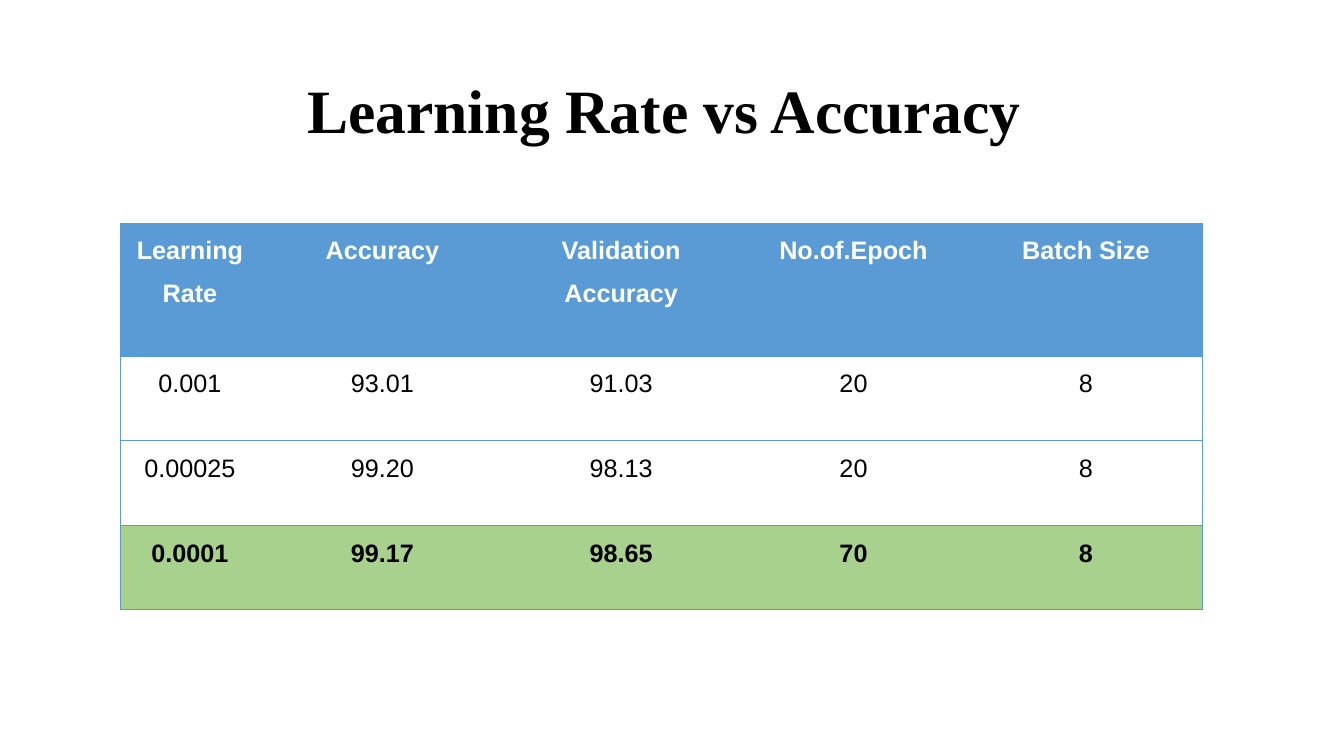
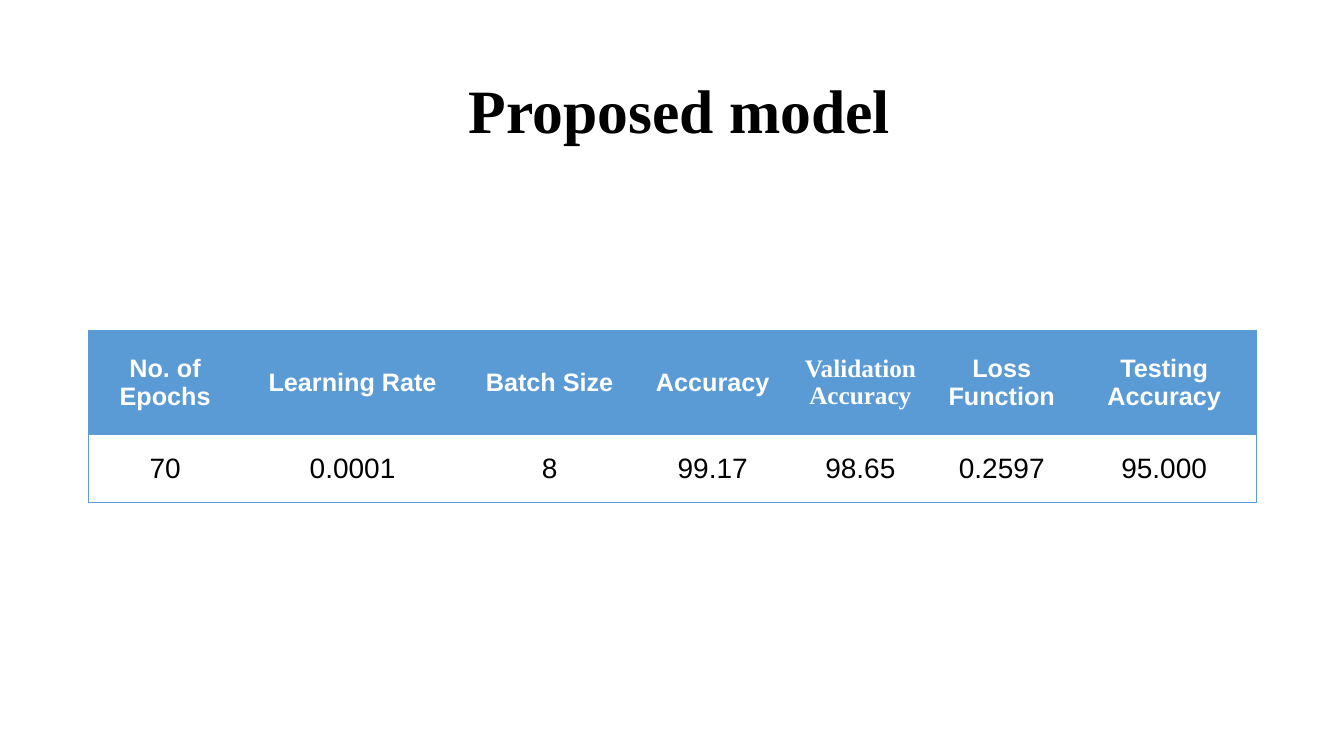
from lxml.etree import SubElement
from pptx import Presentation
from pptx.dml.color import RGBColor
from pptx.enum.text import MSO_ANCHOR, MSO_AUTO_SIZE, PP_ALIGN
from pptx.oxml.ns import qn
from pptx.util import Pt

COLORS = {"ink": "000000", "paper": "FFFFFF", "blue": "5B9BD5", "best": "A9D18E"}
SANS, SERIF = "Arial", "Times New Roman"
TITLE_BOX = {"left": Pt(66), "top": Pt(28.75), "width": Pt(828), "height": Pt(104.4)}
TITLE_FRAME = {"word_wrap": True, "auto_size": MSO_AUTO_SIZE.NONE,
               "vertical_anchor": MSO_ANCHOR.MIDDLE}
TITLE_PARAGRAPH = {"alignment": PP_ALIGN.CENTER, "line_spacing": 0.9}
TITLE_FONT = {"name": SERIF, "size": Pt(44), "bold": True}
CELL_MARGINS = {"margin_left": Pt(5), "margin_right": Pt(5),
                "margin_top": 0, "margin_bottom": 0}
AIRY = {"alignment": PP_ALIGN.CENTER, "line_spacing": 1.5, "space_after": Pt(5.3)}
COMPACT = {"alignment": PP_ALIGN.CENTER}


def apply(target, values):
    """Set each named attribute on the target."""
    for name, value in values.items():
        setattr(target, name, value)


def set_font(font, color, values):
    """Apply font values and a palette colour."""
    apply(font, values)
    font.color.rgb = RGBColor.from_string(COLORS[color])


def add_titled_slide(deck, title, inset):
    """Add a title-only slide whose heading is inset on one side."""
    slide = deck.slides.add_slide(deck.slide_layouts[5])
    heading = slide.shapes.title
    apply(heading, TITLE_BOX)
    frame = heading.text_frame
    frame.text = title
    apply(frame, {**TITLE_FRAME, **inset})
    apply(frame.paragraphs[0], TITLE_PARAGRAPH)
    set_font(frame.paragraphs[0].runs[0].font, "ink", TITLE_FONT)
    return slide


def set_borders(cell, visible):
    """Rule the visible sides of a cell and clear the others."""
    properties = cell._tc.get_or_add_tcPr()
    for side in "LRTB":
        line = SubElement(properties, qn(f"a:ln{side}"), w=str(Pt(0.5)))
        if side in visible:
            fill = SubElement(line, qn("a:solidFill"))
            SubElement(fill, qn("a:srgbClr"), val=COLORS["blue"])
        else:
            SubElement(line, qn("a:noFill"))


def format_cell(cell, text, sides, fill, color, paragraph_values, font_values, anchor):
    """Write one table cell with its rules, fill and text style."""
    set_borders(cell, sides)
    if fill:
        cell.fill.solid()
        cell.fill.fore_color.rgb = RGBColor.from_string(COLORS[fill])
    else:
        cell.fill.background()
    apply(cell, {**CELL_MARGINS, "vertical_anchor": anchor})
    cell.text = text
    paragraph = cell.text_frame.paragraphs[0]
    apply(paragraph, paragraph_values)
    set_font(paragraph.runs[0].font, color, font_values)


def add_results_table(slide, left, top, widths, heights, rows, body_size,
                      paragraph_values, anchor, best_row=None, serif_headers=()):
    """Place a results table with a blue header and an optional best row."""
    table = slide.shapes.add_table(
        len(rows), len(widths), Pt(left), Pt(top), Pt(sum(widths)), Pt(sum(heights))).table
    apply(table, {"first_row": False, "horz_banding": False})
    for column, width in zip(table.columns, widths):
        column.width = Pt(width)
    for row, height in zip(table.rows, heights):
        row.height = Pt(height)
    last = len(widths) - 1
    for r, values in enumerate(rows):
        header, best = r == 0, r == best_row
        fill = "blue" if header else "best" if best else None
        for c, text in enumerate(values):
            sides = "TB" + "L" * (c == 0) + "R" * (c == last)
            font_values = {
                "name": SERIF if header and text in serif_headers else SANS,
                "size": Pt(18 if header else body_size),
                "bold": header or best,
            }
            format_cell(table.cell(r, c), text, sides, fill, "paper" if header else "ink",
                        paragraph_values, font_values, anchor)


def add_learning_rate_slide(deck):
    """Compare accuracy across learning rates."""
    slide = add_titled_slide(deck, "Learning Rate vs Accuracy", {"margin_right": Pt(18.2)})
    rows = [
        ["Learning Rate", "Accuracy", "Validation Accuracy", "No.of.Epoch", "Batch Size"],
        ["0.001", "93.01", "91.03", "20", "8"],
        ["0.00025", "99.20", "98.13", "20", "8"],
        ["0.0001", "99.17", "98.65", "70", "8"],
    ]
    add_results_table(slide, 85.7, 159.3, [100] + [175] + [166] * 3, [95] + [60.4] * 3,
                      rows, 18, AIRY, MSO_ANCHOR.TOP, best_row=3)


def add_proposed_model_slide(deck):
    """Summarise the proposed model."""
    slide = add_titled_slide(deck, "Proposed model", {"margin_left": Pt(18.2)})
    rows = [
        ["No. of Epochs", "Learning Rate", "Batch Size", "Accuracy",
         "Validation Accuracy", "Loss Function", "Testing Accuracy"],
        ["70", "0.0001", "8", "99.17", "98.65", "0.2597", "95.000"],
    ]
    add_results_table(slide, 63.2, 236, [109.5, 158.4, 123, 110, 101, 101, 131],
                      [74.3, 48.5], rows, 20, COMPACT, MSO_ANCHOR.MIDDLE,
                      serif_headers=("Validation Accuracy",))


def main():
    """Build and save the deck."""
    deck = Presentation()
    apply(deck, {"slide_width": Pt(960), "slide_height": Pt(540)})
    add_learning_rate_slide(deck)
    add_proposed_model_slide(deck)
    deck.save("out.pptx")


if __name__ == "__main__":
    main()
